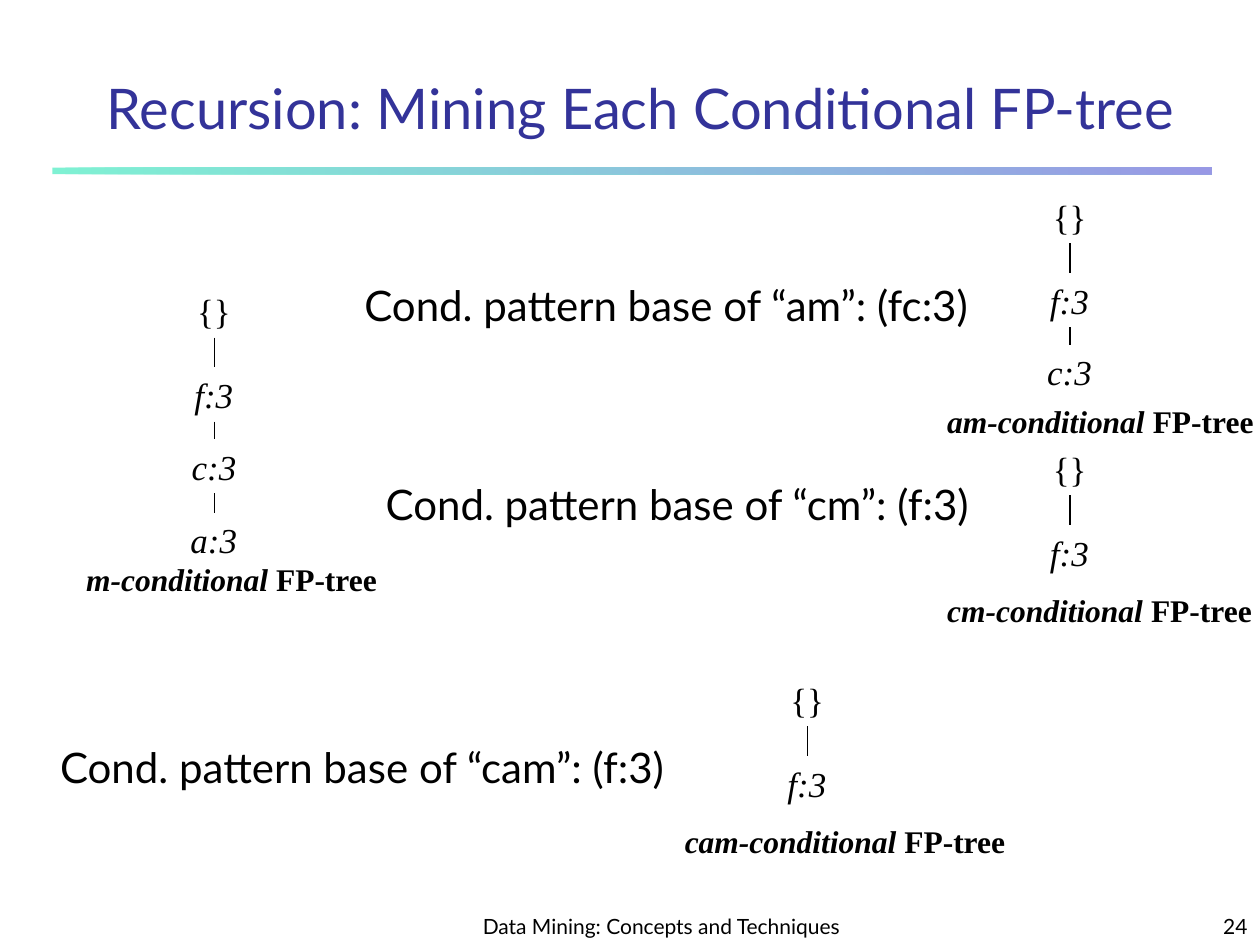
from pptx import Presentation
from pptx import util as u
from pptx.dml.color import RGBColor
from pptx.enum import shapes, text
from pptx.oxml.ns import qn
from lxml import etree

BLACK = RGBColor(0x00, 0x00, 0x00)
TITLE_BLUE = RGBColor(0x33, 0x33, 0x99)
BAR_COLORS = (RGBColor(0x00, 0xE4, 0xA8), RGBColor(0x33, 0x33, 0xCC))
SANS, SERIF = "Lato", "Times New Roman"

TITLE = "Recursion: Mining Each Conditional FP-tree"
FOOTER = "Data Mining: Concepts and Techniques"
PAGE_NUMBER = "24"

# Text, left, top, width
PATTERN_BASES = [
    ("Cond. pattern base of “am”: (fc:3)", 201.1, 156.2, 385.2),
    ("Cond. pattern base of “cm”: (f:3)", 213.3, 270, 371.5),
    ("Cond. pattern base of “cam”: (f:3)", 27.2, 420, 385.2),
]

# Centre, top, nodes from the root down, then caption name, left, top, width
TREES = [
    (122.6, 162, ["{}", "f:3", "c:3", "a:3"], ("m", 42.2, 316.3, 181.2)),
    (611.5, 108, ["{}", "f:3", "c:3"], ("am", 534.2, 226.1, 189.8)),
    (611.5, 252, ["{}", "f:3"], ("cm", 534.2, 334.1, 189)),
    (461.5, 384, ["{}", "f:3"], ("cam", 384.2, 466, 198.4)),
]
NODE_OFFSETS = (0, 48, 89, 131)
NODE_WIDTHS = {"{}": 34, "f:3": 37.2, "c:3": 40.4, "a:3": 41.6}
NODE_HEIGHT, EDGE_START = 31.7, 31

presentation = Presentation()
presentation.slide_width, presentation.slide_height = u.Pt(720), u.Pt(540)
slide = presentation.slides.add_slide(presentation.slide_layouts[6])


def add_text(runs, left, top, width, height, size, font=SANS, color=BLACK,
             bold=False, align=text.PP_ALIGN.LEFT,
             anchor=text.MSO_ANCHOR.TOP, wrap=False):
    """Add one line of text; runs is a list of (words, italic) pairs."""
    box = slide.shapes.add_textbox(u.Pt(left), u.Pt(top), u.Pt(width), u.Pt(height))
    frame = box.text_frame
    frame.word_wrap = wrap
    frame.auto_size = (text.MSO_AUTO_SIZE.NONE if wrap
                       else text.MSO_AUTO_SIZE.SHAPE_TO_FIT_TEXT)
    frame.vertical_anchor = anchor
    paragraph = frame.paragraphs[0]
    paragraph.alignment = align
    for words, italic in runs:
        run = paragraph.add_run()
        run.text = words
        run.font.name, run.font.size = font, u.Pt(size)
        run.font.bold, run.font.italic = bold, italic
        run.font.color.rgb = color


def add_edge(center, top, bottom):
    edge = slide.shapes.add_connector(
        shapes.MSO_CONNECTOR.STRAIGHT,
        u.Pt(center), u.Pt(top), u.Pt(center), u.Pt(bottom))
    edge.line.color.rgb = BLACK
    edge.line.width = u.Pt(1)
    etree.SubElement(edge._element.spPr, qn("a:effectLst"))


# Half-transparent gradient bar under the title
bar = slide.shapes.add_shape(shapes.MSO_SHAPE.RECTANGLE,
                             u.Pt(30), u.Pt(95.8), u.Pt(662.4), u.Pt(3.8))
bar.shadow.inherit = False
bar.line.fill.background()
bar.fill.gradient()
bar.fill.gradient_angle = 0
for stop, color in zip(bar.fill.gradient_stops, BAR_COLORS):
    stop.color.rgb = color
for color_element in bar._element.spPr.iter(qn("a:srgbClr")):
    etree.SubElement(color_element, qn("a:alpha")).set("val", "50000")

# Title, footer and page number
bottom_text = {"anchor": text.MSO_ANCHOR.BOTTOM, "wrap": True}
add_text([(TITLE, False)], 30, 30, 672.5, 54, 32, color=TITLE_BLUE,
         align=text.PP_ALIGN.CENTER, **bottom_text)
add_text([(FOOTER, False)], 264, 510, 228, 30, 12,
         align=text.PP_ALIGN.CENTER, **bottom_text)
add_text([(PAGE_NUMBER, False)], 570, 510, 150, 30, 12,
         align=text.PP_ALIGN.RIGHT, **bottom_text)

# Conditional pattern bases
for words, left, top, width in PATTERN_BASES:
    add_text([(words, False)], left, top, width, 36, 24)

# Trees: nodes, edges between them, caption
for center, top, nodes, (name, left, caption_top, caption_width) in TREES:
    node_tops = [top + offset for offset in NODE_OFFSETS[:len(nodes)]]
    for node, node_top in zip(nodes, node_tops):
        width = NODE_WIDTHS[node]
        add_text([(node, node != "{}")], center - width / 2, node_top,
                 width, NODE_HEIGHT, 20, font=SERIF)
    for upper, lower in zip(node_tops, node_tops[1:]):
        add_edge(center, upper + EDGE_START, lower)
    add_text([(f"{name}-conditional ", True), ("FP-tree", False)],
             left, caption_top, caption_width, 28.8, 18, font=SERIF, bold=True)

presentation.save("out.pptx")
